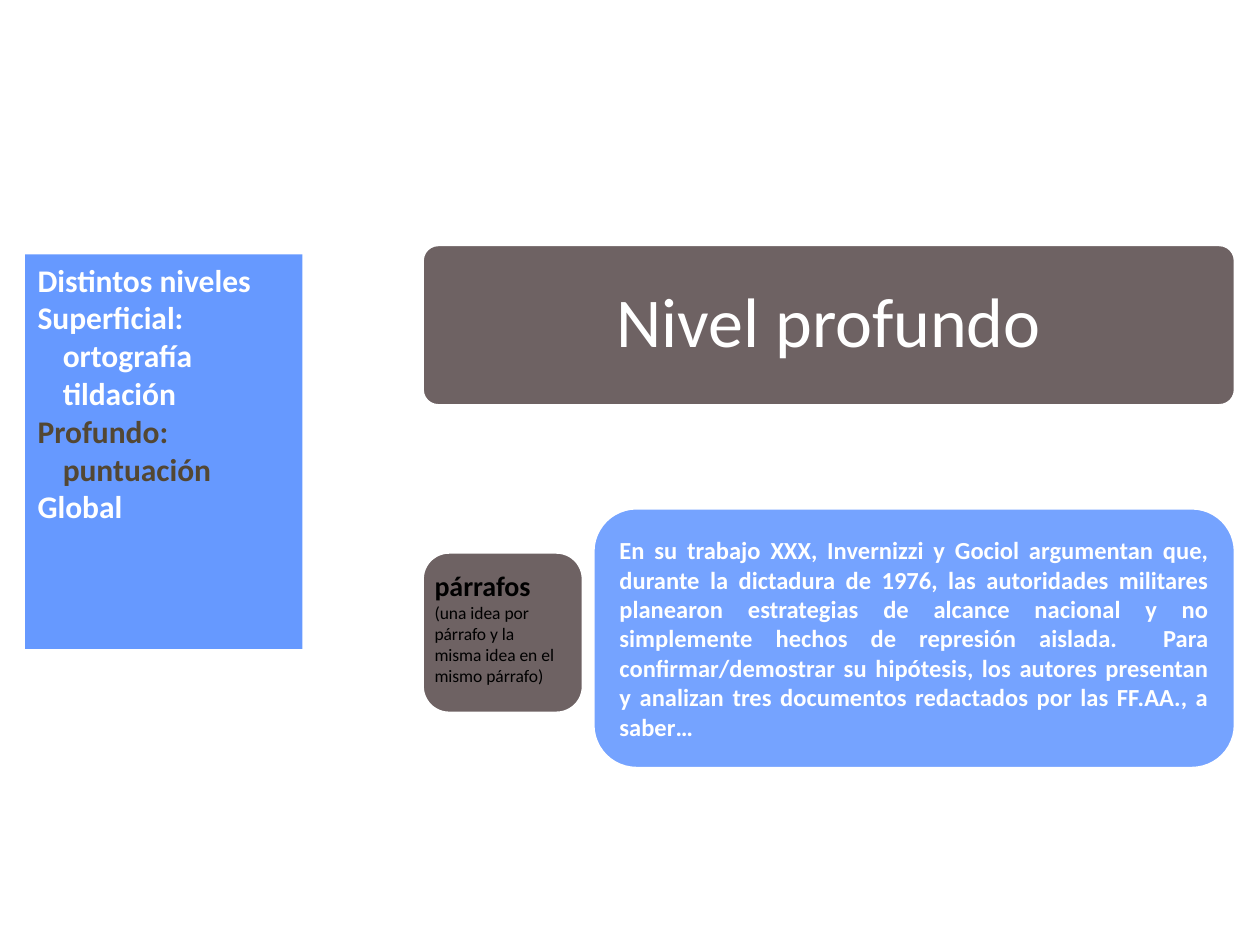
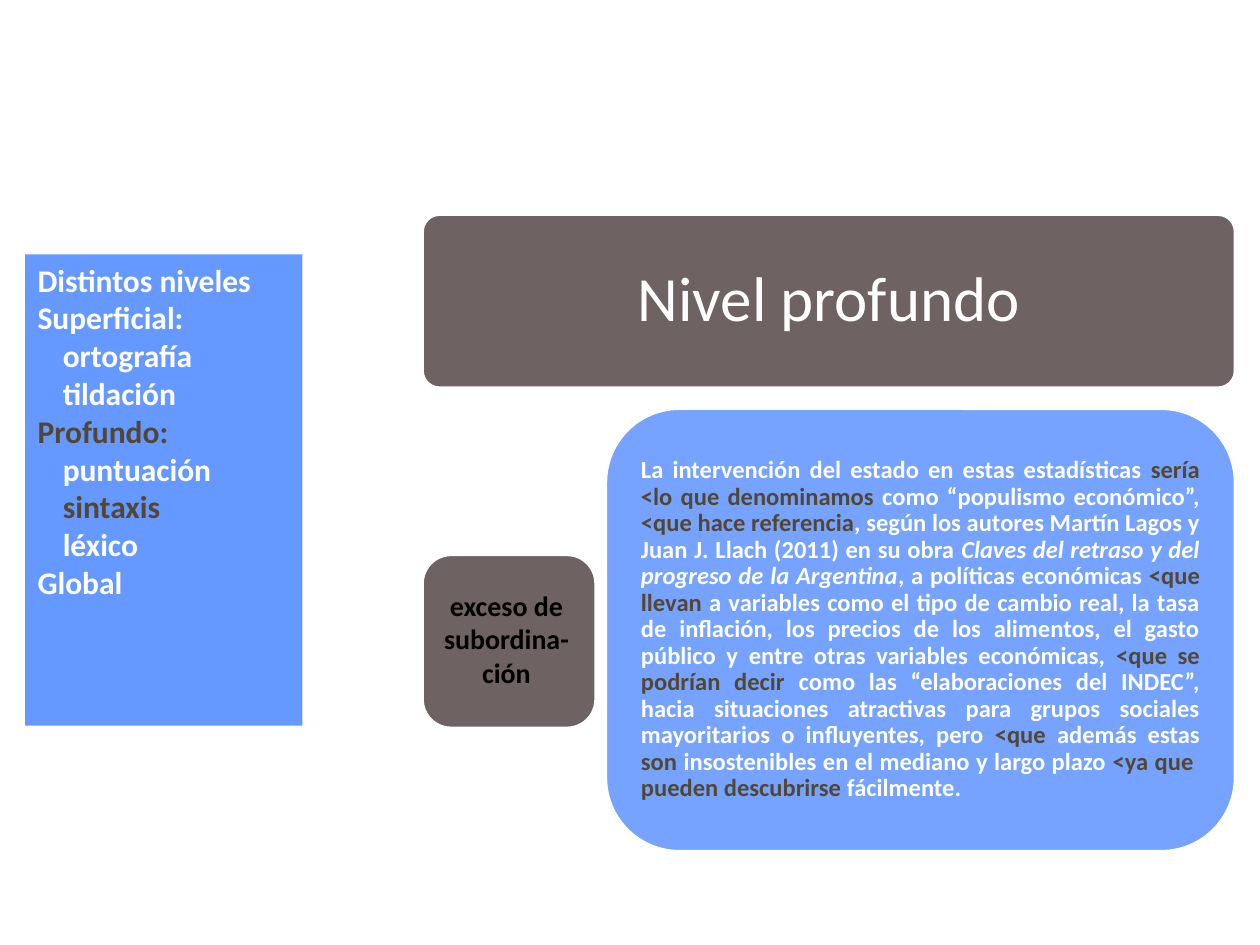
from pptx import Presentation
from pptx.util import Pt
from pptx.dml.color import RGBColor
from pptx.enum.shapes import MSO_SHAPE as Shape
from pptx.enum.text import PP_ALIGN as Align, MSO_ANCHOR as Anchor, MSO_AUTO_SIZE as Auto
from lxml.etree import SubElement
from pptx.oxml.ns import qn

FONT = "Calibri"
COL = {"blue": "6699FF", "taupe": "6E6263", "dark": "534733",
       "white": "FFFFFF", "black": "000000"}
TITLE = "Nivel profundo"
LEFT, RIGHT, GAP = 241.2, 706, 5.4

# Content: outline rows are (text, level, colour); runs are (text, colour[, italic])
TOP_ROWS = [
    ("Distintos niveles", 0, "white"),
    ("Superficial:", 0, "white"),
    ("ortografía tildación", 1, "white"),
    ("Profundo:", 0, "dark"),
]
SLIDES = [
    {
        "rows": TOP_ROWS + [("puntuación", 1, "dark"), ("Global", 0, "white")],
        "rows_high": 225.4,
        "band_top": 139.7, "side": 92.2, "size": 40,
        "tag_top": 315.4, "card": (290.2, 149), "space": 1,
        "label": [("párrafos", 16, True),
                  ("(una idea por párrafo y la misma idea en el mismo párrafo)", 10, False)],
        "label_box": (321.1, 85, 75), "label_align": Align.LEFT,
        "runs": [
            ("En su trabajo XXX, Invernizzi y Gociol argumentan que, durante la dictadura "
             "de 1976, las autoridades militares planearon estrategias de alcance nacional "
             "y no simplemente hechos de represión aislada.  Para confirmar/demostrar su "
             "hipótesis, los autores presentan y analizan tres documentos redactados por "
             "las FF.AA., a saber…", "white"),
        ],
    },
    {
        "rows": TOP_ROWS + [("puntuación", 1, "white"), ("sintaxis", 1, "dark"),
                            ("léxico", 1, "white"), ("Global", 0, "white")],
        "rows_high": 269.3,
        "band_top": 122.4, "side": 99.4, "size": 36,
        "tag_top": 316.8, "card": (233.3, 253.4), "space": 0.9,
        "label": [("exceso de subordina-ción", 16, True)],
        "label_box": (332.6, 96.5, 65.5), "label_align": Align.CENTER,
        "runs": [
            ("La intervención del estado en estas estadísticas ", "white"),
            ("sería <lo que denominamos ", "dark"),
            ("como “populismo económico”, ", "white"),
            ("<que hace referencia", "dark"),
            (", según los autores Martín Lagos y Juan J. Llach (2011) en su obra ", "white"),
            ("Claves del retraso y del progreso de la Argentina", "white", True),
            (", a políticas económicas ", "white"),
            ("<que llevan ", "dark"),
            ("a variables como el tipo de cambio real, la tasa de inflación, los precios de "
             "los alimentos, el gasto público y entre otras variables económicas, ", "white"),
            ("<que se podrían decir ", "dark"),
            ("como las “elaboraciones del INDEC”, hacia situaciones atractivas para grupos "
             "sociales mayoritarios o influyentes, pero ", "white"),
            ("<que ", "dark"),
            ("además estas ", "white"),
            ("son ", "dark"),
            ("insostenibles en el mediano y largo plazo ", "white"),
            ("<ya que  pueden descubrirse ", "dark"),
            ("fácilmente. ", "white"),
        ],
    },
]


def rgb(name):
    return RGBColor.from_string(COL[name])


def block(slide, kind, box, fill, adj=None, alpha=None):
    shape = slide.shapes.add_shape(kind, *map(Pt, box))
    shape.shadow.inherit = False
    shape.fill.solid()
    shape.fill.fore_color.rgb = rgb(fill)
    if adj is None:
        shape.line.fill.background()
    else:
        shape.adjustments[0] = adj
        shape.line.color.rgb = rgb("white")
        shape.line.width = Pt(2)
    if alpha:
        tone = shape.element.spPr.find(qn("a:solidFill"))[0]
        SubElement(tone, qn("a:alpha")).set("val", str(alpha * 1000))
    return shape


def set_frame(shape, anchor, pad=None):
    frame = shape.text_frame
    frame.word_wrap = True
    frame.auto_size = Auto.NONE
    frame.vertical_anchor = anchor
    if pad is not None:
        frame.margin_left = frame.margin_right = Pt(pad)
        frame.margin_top = frame.margin_bottom = Pt(pad)
    return frame


def next_para(frame, index, align):
    para = frame.paragraphs[0] if index == 0 else frame.add_paragraph()
    para.alignment = align
    return para


def add_run(para, text, size, color, bold=True, italic=False):
    run = para.add_run()
    run.text = text
    font = run.font
    font.name, font.size, font.bold, font.italic = FONT, Pt(size), bold, italic
    font.color.rgb = rgb(color)


def build(deck, data):
    slide = deck.slides.add_slide(deck.slide_layouts[5])
    side, wide = data["side"], RIGHT - LEFT

    # Outline of levels
    panel = block(slide, Shape.RECTANGLE, (14.4, 145.4, 158.4, data["rows_high"]), "blue")
    frame = set_frame(panel, Anchor.TOP)
    for i, (text, level, color) in enumerate(data["rows"]):
        para = next_para(frame, i, Align.LEFT)
        if level:
            para._p.get_or_add_pPr().set("marL", str(Pt(14.4 * level)))
        add_run(para, text, 18, color)

    # Title on its band
    band = (LEFT, data["band_top"], wide, side)
    block(slide, Shape.ROUNDED_RECTANGLE, band, "taupe", 0.1)
    title = slide.shapes.title
    title.left, title.top, title.width, title.height = map(Pt, band)
    title.element.getparent().append(title.element)
    para = next_para(set_frame(title, Anchor.MIDDLE, 5), 0, Align.CENTER)
    para.line_spacing = 0.9
    add_run(para, TITLE, data["size"], "white", bold=False)

    # Topic tag and example card
    tag = (LEFT, data["tag_top"], side, side)
    block(slide, Shape.ROUNDED_RECTANGLE, tag, "taupe", 0.167)
    start = LEFT + side + GAP
    top, high = data["card"]
    card = block(slide, Shape.ROUNDED_RECTANGLE, (start, top, RIGHT - start, high),
                 "blue", 0.167, alpha=90)
    para = next_para(set_frame(card, Anchor.MIDDLE, 7.9), 0, Align.JUSTIFY)
    para.line_spacing = data["space"]
    for text, color, *italic in data["runs"]:
        add_run(para, text, 14, color, italic=bool(italic))

    # Label over the tag
    top, width, high = data["label_box"]
    label = slide.shapes.add_textbox(*map(Pt, (LEFT, top, width, high)))
    frame = set_frame(label, Anchor.TOP)
    for i, (text, size, bold) in enumerate(data["label"]):
        add_run(next_para(frame, i, data["label_align"]), text, size, "black", bold)


def main():
    deck = Presentation()
    deck.slide_width, deck.slide_height = Pt(720), Pt(540)
    for data in SLIDES:
        build(deck, data)
    deck.save("out.pptx")


if __name__ == "__main__":
    main()
